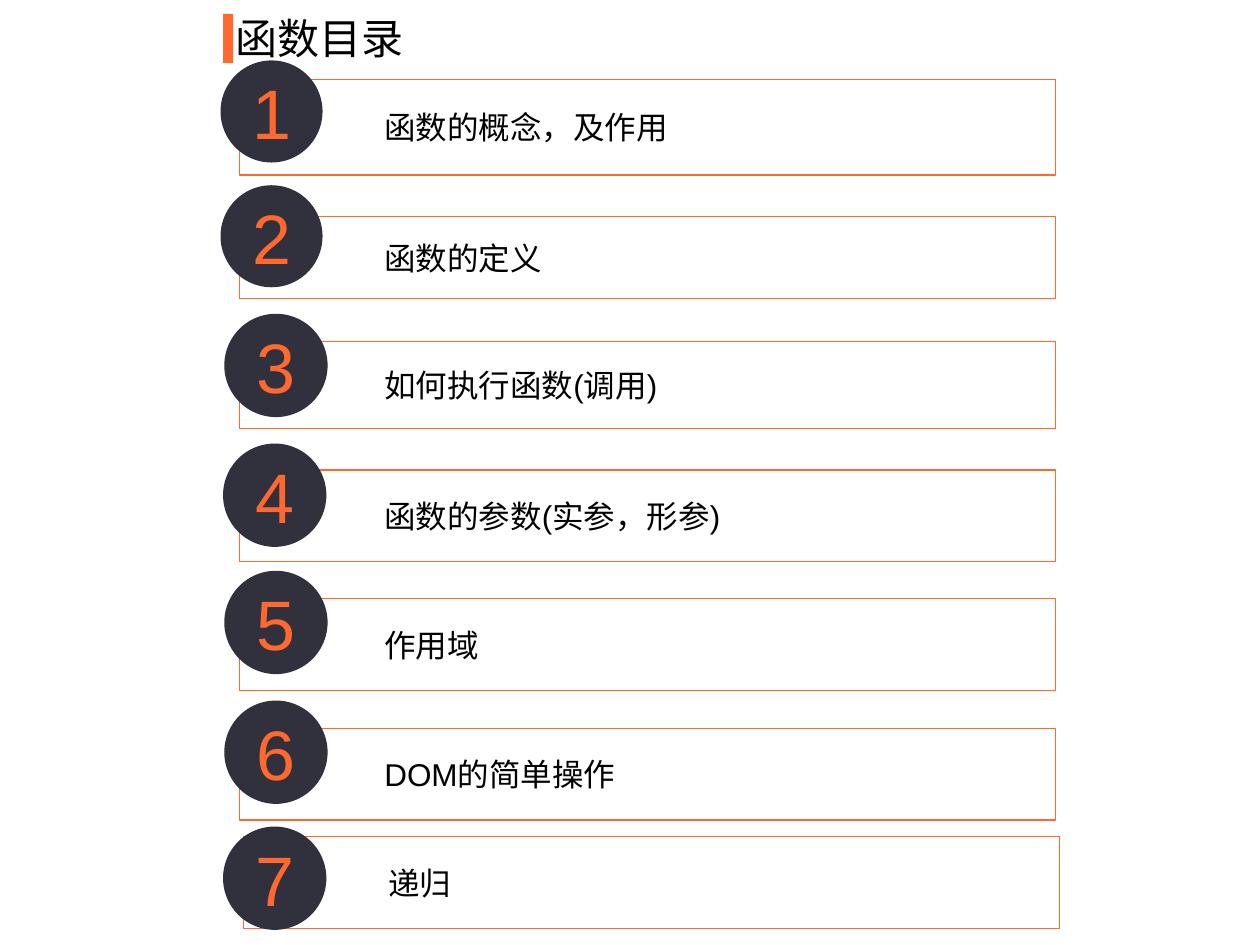
"""Build a contents slide with seven numbered entries about functions."""
import pptx
import pptx.dml.color
import pptx.enum.shapes
import pptx.enum.text
import pptx.oxml.ns
import pptx.util
from lxml import etree

Inches = pptx.util.Inches
Shape = pptx.enum.shapes.MSO_SHAPE
Align = pptx.enum.text.PP_ALIGN
Anchor = pptx.enum.text.MSO_ANCHOR
qn = pptx.oxml.ns.qn

ENTRIES = [
    # text, bar left, bar top, bar height, circle left, circle top, circle size
    ("函数的概念，及作用", 1.9, 0.63, 0.76, 1.75, 0.48, 0.81),
    ("函数的定义", 1.9, 1.72, 0.65, 1.75, 1.47, 0.81),
    ("如何执行函数(调用)", 1.9, 2.71, 0.69, 1.78, 2.49, 0.82),
    ("函数的参数(实参，形参)", 1.9, 3.73, 0.73, 1.77, 3.52, 0.82),
    ("作用域", 1.9, 4.75, 0.73, 1.78, 4.53, 0.82),
    ("DOM的简单操作", 1.9, 5.78, 0.73, 1.78, 5.56, 0.82),
    ("递归", 1.93, 6.64, 0.73, 1.77, 6.56, 0.82),
]


def color(value):
    return pptx.dml.color.RGBColor.from_string(value)


def write(box, text, size, ink, font="Arial", align=Align.LEFT,
          anchor=Anchor.MIDDLE, margins=(0.1, 0.05, 0.1, 0.05), level=0, indent=0):
    frame = box.text_frame
    frame.word_wrap = True
    frame.vertical_anchor = anchor
    (frame.margin_left, frame.margin_top,
     frame.margin_right, frame.margin_bottom) = map(Inches, margins)
    para = frame.paragraphs[0]
    para.alignment, para.level = align, level
    properties = para._p.get_or_add_pPr()
    properties.set("marL", str(Inches(indent)))
    properties.set("indent", "0")
    span = para.add_run()
    span.text = text
    span.font.size = pptx.util.Pt(size)
    span.font.color.rgb = color(ink)
    span.font.name = font
    etree.SubElement(span._r.get_or_add_rPr(), qn("a:ea"), typeface="Noto Sans CJK SC")


class Builder:
    accent, dark, paper, ink = "FF682F", "30313C", "FFFFFF", "000000"

    def __init__(self, page):
        self.page = page

    def shape(self, kind, left, top, width, height, fill, line=None):
        box = self.page.shapes.add_shape(kind, *map(Inches, (left, top, width, height)))
        box.shadow.inherit = False
        box.fill.solid()
        box.fill.fore_color.rgb = color(fill)
        if line:
            box.line.color.rgb = color(line)
            box.line.width = pptx.util.Pt(0.75)
        else:
            box.line.fill.background()
        return box

    def title(self, text):
        self.shape(Shape.RECTANGLE, 1.77, 0.11, 0.08, 0.39, self.accent)
        box = self.page.shapes.add_textbox(*map(Inches, (1.77, 0.05, 2.36, 0.5)))
        write(box, text, 24, self.ink, font="Noto Sans CJK SC", anchor=Anchor.TOP)

    def bar(self, text, left, top, height):
        box = self.shape(Shape.RECTANGLE, left, top, 6.48, height, self.paper, self.accent)
        tint = box._element.spPr.find(qn("a:solidFill"))[0]
        etree.SubElement(tint, qn("a:alpha"), val="40000")
        write(box, text, 18, self.ink, margins=(0.65, 0.08, 0.08, 0.08), level=1, indent=0.5)

    def number(self, value, left, top, size):
        box = self.shape(Shape.OVAL, left, top, size, size, self.dark)
        write(box, str(value), 40, self.accent, align=Align.CENTER)


def main():
    deck = pptx.Presentation()
    deck.slide_width, deck.slide_height = Inches(10), Inches(7.5)
    builder = Builder(deck.slides.add_slide(deck.slide_layouts[6]))
    builder.title("函数目录")
    for value, (text, left, top, height, *circle) in enumerate(ENTRIES, 1):
        builder.bar(text, left, top, height)
        builder.number(value, *circle)
    deck.save("out.pptx")


if __name__ == "__main__":
    main()
